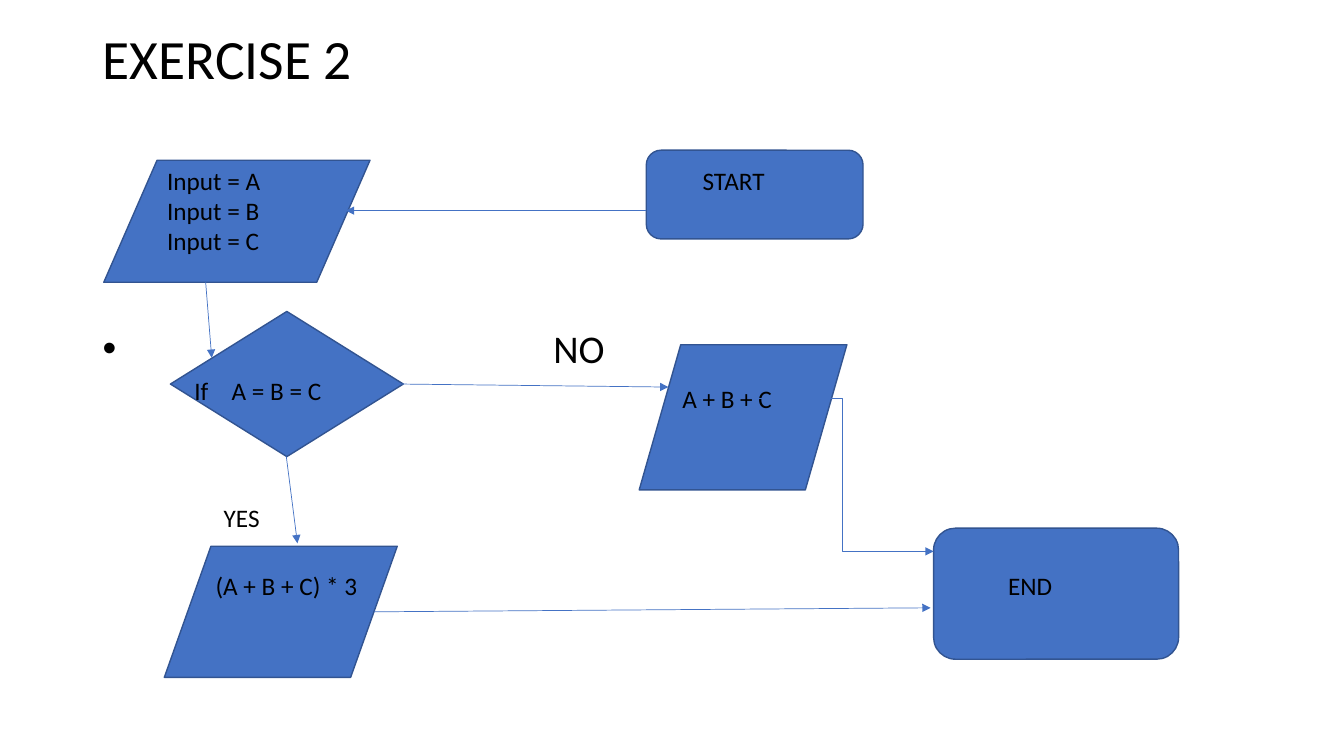
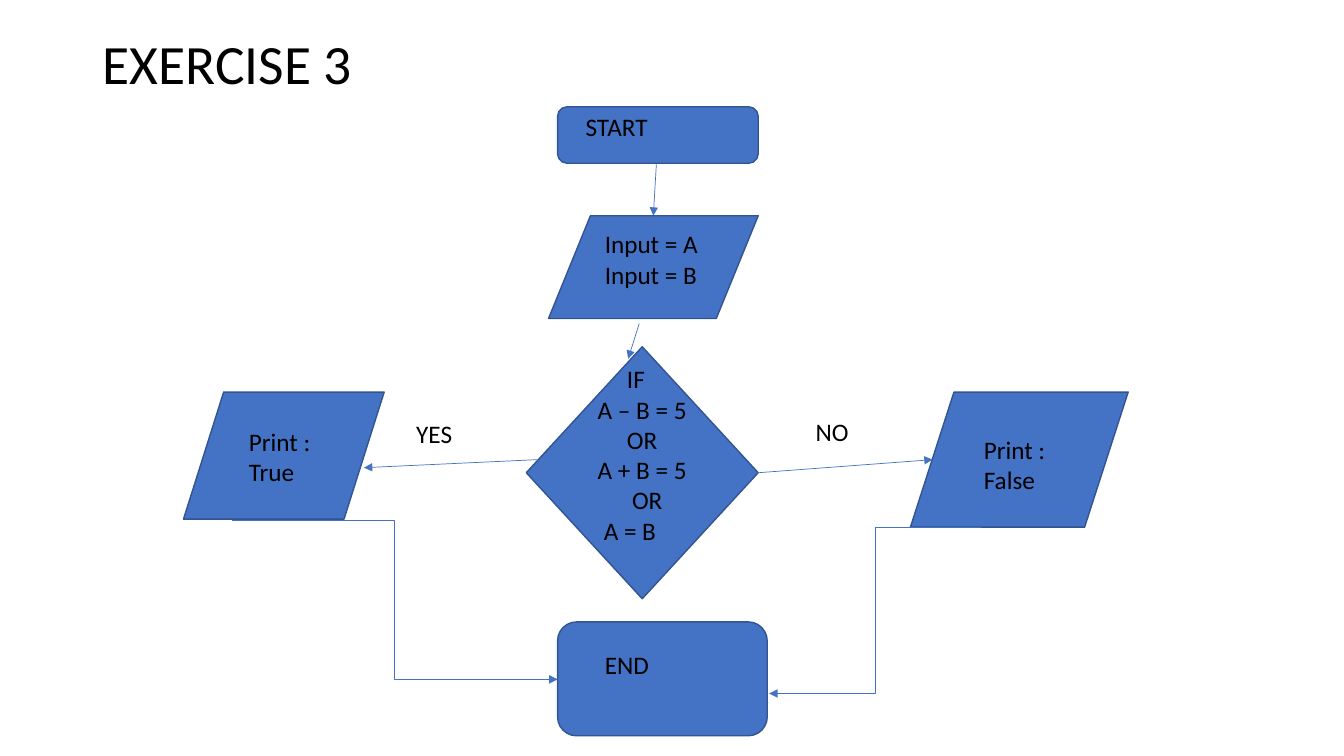
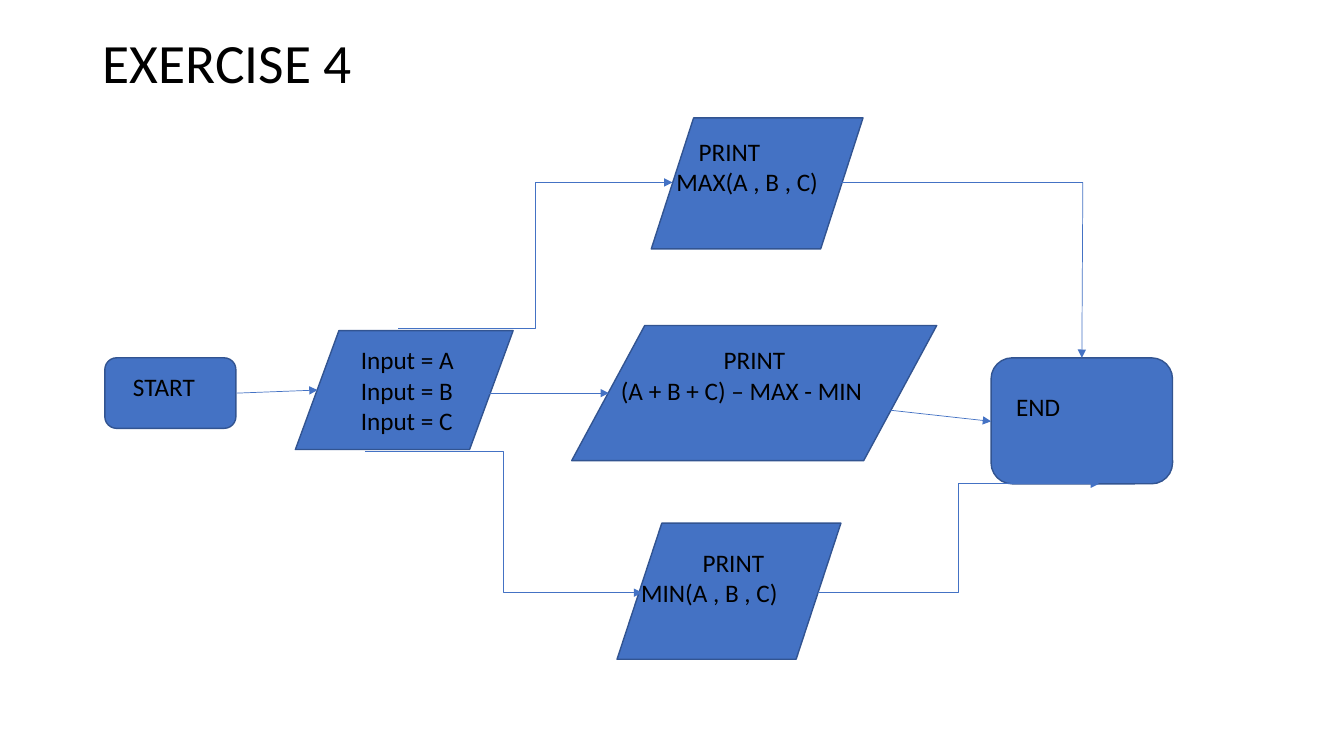
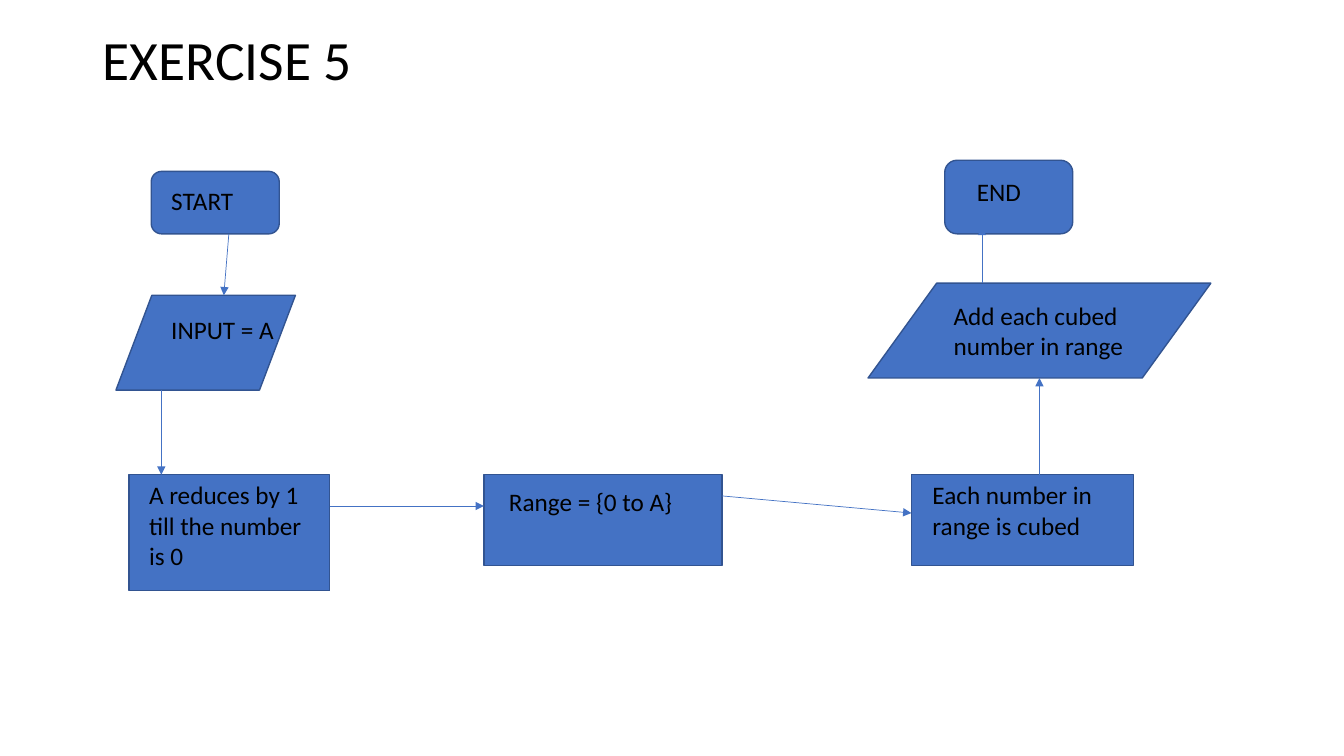
from lxml.etree import SubElement
from pptx import Presentation
from pptx.dml.color import RGBColor
from pptx.enum.shapes import MSO_CONNECTOR, MSO_SHAPE
from pptx.enum.text import MSO_ANCHOR
from pptx.oxml.ns import qn
from pptx.util import Inches, Pt

BLUE = RGBColor(0x44, 0x72, 0xC4)
NAVY = RGBColor(0x32, 0x54, 0x91)
BLACK = RGBColor(0, 0, 0)
FONT = "Calibri"

ROUND = MSO_SHAPE.FLOWCHART_ALTERNATE_PROCESS
DATA = MSO_SHAPE.FLOWCHART_DATA
TEST = MSO_SHAPE.FLOWCHART_DECISION
STEP = MSO_SHAPE.FLOWCHART_PROCESS


def add_text(slide, left, top, width, height, lines, size=18):
    """Add a wrapping text box with one paragraph per line."""
    box = slide.shapes.add_textbox(
        Inches(left), Inches(top), Inches(width), Inches(height))
    frame = box.text_frame
    frame.word_wrap = True
    for i, line in enumerate(lines):
        para = frame.paragraphs[0] if i == 0 else frame.add_paragraph()
        para.text = line
        para.font.name = FONT
        para.font.size = Pt(size)
        para.font.color.rgb = BLACK
    return frame


def add_label(slide, left, top, width, *lines, rows=None, indents=()):
    """Add a label as tall as its rows, with an optional indent per line."""
    height = 0.1 + 0.3 * (rows or len(lines))
    frame = add_text(slide, left, top, width, height, lines)
    for para, indent in zip(frame.paragraphs, indents):
        para._p.get_or_add_pPr().set("marL", str(Inches(indent)))
    return frame


def add_tab(para, stop):
    """Set a left tab stop on a paragraph."""
    tabs = SubElement(para._p.get_or_add_pPr(), qn("a:tabLst"))
    SubElement(tabs, qn("a:tab"), pos=str(Inches(stop)), algn="l")


def add_bullet(slide, left, top, width, text, gap):
    """Add a large bullet line whose text hangs a gap to the right."""
    frame = add_text(slide, left, top, width, 0.53, [text], 28)
    para = frame.paragraphs[0]
    para.line_spacing = 0.9
    props = para._p.get_or_add_pPr()
    props.set("marL", str(Inches(gap)))
    props.set("indent", str(-Inches(gap)))
    SubElement(props, qn("a:buFont"), typeface="Arial")
    SubElement(props, qn("a:buChar"), char="•")


def add_node(slide, kind, left, top, width, height):
    """Add one flowchart shape."""
    node = slide.shapes.add_shape(
        kind, Inches(left), Inches(top), Inches(width), Inches(height))
    node.shadow.inherit = False
    node.fill.solid()
    node.fill.fore_color.rgb = BLUE
    node.line.color.rgb = NAVY
    node.line.width = Pt(1)


def add_line(slide, start, end, bent=False, head=True):
    """Join two points with a straight or bent line."""
    kind = MSO_CONNECTOR.ELBOW if bent else MSO_CONNECTOR.STRAIGHT
    link = slide.shapes.add_connector(
        kind, *(Inches(n) for n in (*start, *end)))
    link.line.color.rgb = BLUE
    link.line.width = Pt(0.5)
    if head:
        SubElement(link.line._get_or_add_ln(), qn("a:tailEnd"),
                   type="triangle")
    SubElement(link._element.spPr, qn("a:effectLst"))


def add_slide(deck, title, height, nodes):
    """Add a blank slide with its title and flowchart shapes."""
    slide = deck.slides.add_slide(deck.slide_layouts[6])
    frame = add_text(slide, 0.92, 0.4, 11.5, height, [title], 39.6)
    frame.vertical_anchor = MSO_ANCHOR.MIDDLE
    frame.paragraphs[0].line_spacing = 0.9
    for node in nodes:
        add_node(slide, *node)
    return slide


def add_sums(deck):
    """Build exercise 2: triple the sum when all inputs match."""
    slide = add_slide(deck, "EXERCISE 2", 0.42, [
        (ROUND, 6.41, 1.49, 2.15, 0.88),
        (DATA, 1.03, 1.59, 2.64, 1.21),
        (TEST, 1.69, 3.09, 2.31, 1.44),
        (DATA, 6.34, 3.42, 2.06, 1.44),
        (DATA, 1.63, 5.42, 2.31, 1.3),
        (ROUND, 9.26, 5.24, 2.43, 1.3),
    ])
    add_bullet(slide, 0.92, 3.22, 11.5, "NO", 4.47)
    add_label(slide, 6.87, 1.59, 1.48, "START")
    add_label(slide, 9.9, 5.61, 1.1, "END")
    add_label(slide, 1.56, 1.59, 1.71, "Input = A", "Input = B", "Input = C")
    test = add_label(slide, 1.83, 3.67, 2.17, "If\tA = B = C")
    add_tab(test.paragraphs[0], 0.37)
    add_label(slide, 2.04, 5.61, 1.63, "(A + B + C) * 3")
    add_label(slide, 6.67, 3.75, 1.34, "A + B + C")
    add_label(slide, 2.12, 4.93, 0.59, "YES")
    add_line(slide, (7.45, 3.95), (9.26, 5.47), bent=True)
    for start, end in [
        ((6.41, 2.09), (3.43, 2.09)),
        ((2.04, 2.8), (2.1, 3.55)),
        ((3.97, 3.81), (6.63, 3.84)),
        ((2.84, 4.53), (2.95, 5.39)),
        ((3.71, 6.07), (9.23, 6.03)),
    ]:
        add_line(slide, start, end)


def add_checks(deck):
    """Build exercise 3: print true or false after three checks."""
    slide = add_slide(deck, "EXERCISE 3", 0.51, [
        (ROUND, 5.53, 1.06, 1.99, 0.56),
        (DATA, 5.44, 2.14, 2.08, 1.02),
        (TEST, 5.22, 3.44, 2.3, 2.5),
        (DATA, 1.82, 3.89, 1.99, 1.26),
        (DATA, 9.03, 3.89, 2.16, 1.34),
        (ROUND, 5.53, 6.17, 2.08, 1.13),
    ])
    add_label(slide, 5.71, 1.06, 1.66, "START")
    add_label(slide, 5.9, 2.22, 1.2, "Input = A", "Input = B")
    add_label(slide, 5.83, 3.56, 1.18, "IF", "A – B = 5", "OR", "A + B = 5",
              "OR", "A = B", indents=(0.29, 0, 0.29, 0, 0.34, 0.06))
    add_label(slide, 9.66, 4.26, 1.03, "Print : False", rows=2)
    add_label(slide, 2.37, 4.18, 0.92, "Print : True", rows=2)
    add_label(slide, 5.9, 6.39, 1.41, "END")
    add_label(slide, 4.03, 4.1, 0.66, "YES")
    add_label(slide, 7.99, 4.08, 0.69, "NO")
    for start, end, bent in [
        ((6.51, 1.63), (6.48, 2.14), False),
        ((6.34, 3.21), (6.23, 3.56), False),
        ((7.52, 4.69), (9.25, 4.56), False),
        ((5.33, 4.56), (3.61, 4.64), False),
        ((2.3, 5.16), (5.53, 6.74), True),
        ((9.73, 5.23), (7.63, 6.88), True),
    ]:
        add_line(slide, start, end, bent)


def add_ranks(deck):
    """Build exercise 4: print the largest, middle and smallest input."""
    slide = add_slide(deck, "EXERCISE 4", 0.49, [
        (ROUND, 1.04, 3.55, 1.3, 0.7),
        (DATA, 2.93, 3.28, 2.16, 1.18),
        (DATA, 6.46, 1.17, 2.1, 1.3),
        (DATA, 5.67, 3.23, 3.62, 1.34),
        (DATA, 6.12, 5.19, 2.22, 1.35),
        (ROUND, 9.83, 3.55, 1.8, 1.25),
    ])
    add_label(slide, 1.22, 3.63, 1.01, "START")
    add_label(slide, 3.48, 3.37, 2.16, "Input = A", "Input = B", "Input = C")
    add_label(slide, 6.04, 1.3, 3.19, "PRINT", "MAX(A , B , C)",
              indents=(0.79, 0.57))
    add_label(slide, 5.33, 3.37, 4.5, "PRINT", "(A + B + C) – MAX - MIN",
              indents=(1.75, 0.73))
    add_label(slide, 6.2, 5.38, 2.37, "PRINT", "MIN(A , B , C)",
              indents=(0.67, 0.06))
    add_label(slide, 9.98, 3.83, 1.47, "END")
    for start, end, bent in [
        ((2.35, 3.9), (3.15, 3.87), False),
        ((4.78, 3.9), (6.04, 3.9), False),
        ((8.83, 4.07), (9.83, 4.18), False),
        ((3.95, 3.26), (6.67, 1.81), True),
        ((3.62, 4.48), (6.37, 5.88), True),
        ((10.74, 1.81), (10.73, 3.55), False),
        ((8.11, 5.88), (10.9, 4.8), True),
    ]:
        add_line(slide, start, end, bent)
    add_line(slide, (8.34, 1.81), (10.74, 1.81), head=False)


def add_cubes(deck):
    """Build exercise 5: add up the cubes of a range."""
    slide = add_slide(deck, "EXERCISE 5", 0.45, [
        (ROUND, 1.5, 1.7, 1.27, 0.62),
        (DATA, 1.15, 2.93, 1.78, 0.94),
        (STEP, 1.28, 4.71, 1.99, 1.15),
        (STEP, 4.8, 4.71, 2.36, 0.9),
        (STEP, 9.04, 4.71, 2.2, 0.9),
        (DATA, 8.61, 2.81, 3.4, 0.94),
        (ROUND, 9.37, 1.59, 1.27, 0.73),
    ])
    for start, end in [
        ((2.27, 2.32), (2.22, 2.93)),
        ((1.6, 3.87), (1.6, 4.71)),
        ((3.27, 5.02), (4.8, 5.02)),
        ((7.16, 4.92), (9.04, 5.09)),
        ((10.31, 4.71), (10.31, 3.75)),
        ((9.74, 2.81), (9.74, 2.25)),
    ]:
        add_line(slide, start, end)
    for left, top, width, text, rows in [
        (1.6, 1.79, 1.09, "START", 1),
        (9.59, 1.7, 0.9, "END", 1),
        (1.6, 3.07, 1.56, "INPUT = A", 1),
        (1.38, 4.71, 1.89, "A reduces by 1 till the number is 0", 3),
        (4.95, 4.78, 2.2, "Range = {0 to A}", 1),
        (9.15, 4.71, 1.99, "Each number in range is cubed", 2),
        (9.36, 2.93, 2, "Add each cubed number in range", 2),
    ]:
        add_label(slide, left, top, width, text, rows=rows)


def main():
    """Build the four slides and save them."""
    deck = Presentation()
    deck.slide_width = Inches(13.33)
    deck.slide_height = Inches(7.5)
    add_sums(deck)
    add_checks(deck)
    add_ranks(deck)
    add_cubes(deck)
    deck.save("out.pptx")


main()
